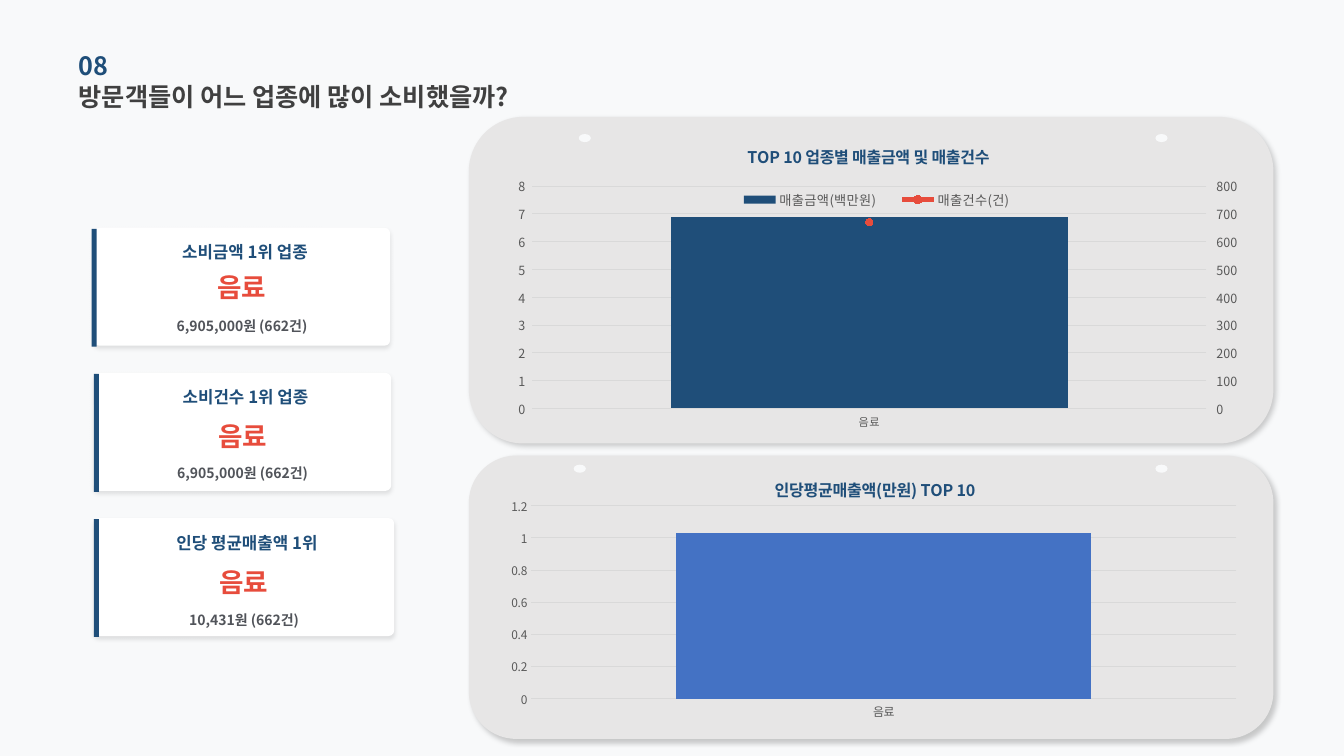
from copy import deepcopy
from dataclasses import dataclass

from lxml import etree
from pptx import Presentation
from pptx.chart.data import CategoryChartData
from pptx.dml.color import RGBColor
from pptx.enum.chart import XL_CHART_TYPE as CT, XL_LEGEND_POSITION as LP
from pptx.enum.chart import XL_MARKER_STYLE as MS, XL_TICK_MARK as TM
from pptx.enum.shapes import MSO_SHAPE as SHAPE
from pptx.enum.text import MSO_ANCHOR, PP_ALIGN
from pptx.oxml import parse_xml
from pptx.oxml.ns import nsdecls, qn
from pptx.util import Inches, Pt


@dataclass(frozen=True)
class Theme:
    font: str = "Noto Sans CJK KR"
    chart_font: str = "Calibri"
    page: str = "F8F9FA"
    panel: str = "E7E6E6"
    card: str = "FFFFFF"
    navy: str = "1F4E79"
    red: str = "E74C3C"
    blue: str = "4472C4"
    ink: str = "404040"
    detail: str = "51545A"
    axis: str = "595959"
    grid: str = "D9D9D9"
    heading_pt: float = 18
    label_pt: float = 12
    value_pt: float = 19
    detail_pt: float = 10
    chart_pt: float = 10
    chart_title_pt: float = 11.5
    legend_pt: float = 9.5


T = Theme()


def rgb(color):
    return RGBColor.from_string(color)


def style_font(font, size, color, bold=False):
    font.size, font.bold, font.name = Pt(size), bold, T.font
    font.color.rgb = rgb(color)


def add_text(shapes, box, text, size, color, align=PP_ALIGN.LEFT):
    tf = shapes.add_textbox(*map(Inches, box)).text_frame
    tf.margin_left = tf.margin_right = tf.margin_top = tf.margin_bottom = 0
    tf.word_wrap, tf.vertical_anchor = True, MSO_ANCHOR.MIDDLE
    p = tf.paragraphs[0]
    p.text, p.alignment = text, align
    style_font(p.font, size, color, True)
    ea = etree.SubElement(p.font._element, qn("a:ea"))
    ea.set("typeface", T.font)


def add_plain(shapes, kind, box, color, shadow=None):
    sp = shapes.add_shape(kind, *map(Inches, box))
    sp.shadow.inherit = False
    sp.fill.solid()
    sp.fill.fore_color.rgb = rgb(color)
    sp.line.fill.background()
    if shadow:
        alpha, blur, dist, angle = shadow
        effects = sp._element.spPr.find(qn("a:effectLst"))
        effects.append(parse_xml(
            f'<a:outerShdw {nsdecls("a")} blurRad="{Pt(blur)}" dist="{Pt(dist)}" '
            f'dir="{angle * 60000}" algn="t" rotWithShape="0"><a:srgbClr val="000000">'
            f'<a:alpha val="{alpha * 1000}"/></a:srgbClr></a:outerShdw>'))
    return sp


def add_heading(s, x, y, number, question):
    add_text(s.shapes, (x, y + 0.31, 4.52, 0.41), question, T.heading_pt, T.ink)
    add_text(s.shapes, (x, y, 4.52, 0.41), number, T.heading_pt, T.navy)


def add_card(s, box, bar_x, label, value, detail, value_dy, detail_dy):
    x, y, w, h = box
    shapes = s.shapes.add_group_shape().shapes
    sp = add_plain(shapes, SHAPE.ROUNDED_RECTANGLE, box, T.card, (10, 3, 2, 90))
    sp.adjustments[0] = 0.048
    lines = ((label, 0.03, 0.13, 0.22, T.label_pt, T.navy),
             (value, 0, value_dy, 0.34, T.value_pt, T.red),
             (detail, 0, detail_dy, 0.17, T.detail_pt, T.detail))
    for text, dx, dy, height, size, color in lines:
        add_text(shapes, (x + dx, y + dy, w, height), text, size, color, PP_ALIGN.CENTER)
    add_plain(s.shapes, SHAPE.RECTANGLE, (bar_x, y + 0.01, 0.05, h), T.navy)


def add_panel(s, box):
    add_plain(s.shapes, SHAPE.ROUNDED_RECTANGLE, box, T.panel, (20, 4, 3, 45))


def add_holes(s, y, xs):
    for x in xs:
        add_plain(s.shapes, SHAPE.OVAL, (x, y, 0.12, 0.08), T.page)


def set_layout(parent, index, **values):
    for old in parent.findall(qn("c:layout")):
        parent.remove(old)
    layout = etree.Element(qn("c:layout"))
    manual = etree.SubElement(layout, qn("c:manualLayout"))
    if parent.tag == qn("c:plotArea"):
        etree.SubElement(manual, qn("c:layoutTarget")).set("val", "inner")
    for mode in ("xMode", "yMode"):
        etree.SubElement(manual, qn(f"c:{mode}")).set("val", "edge")
    for name, value in values.items():
        etree.SubElement(manual, qn(f"c:{name}")).set("val", str(value))
    parent.insert(index, layout)


def add_column_chart(s, box, title, title_at, plot, series, top, unit, fmt, sizes):
    data = CategoryChartData()
    data.categories = ["음료"]
    for name, value in series:
        data.add_series(name, [value])
    chart = s.shapes.add_chart(CT.COLUMN_CLUSTERED, *map(Inches, box), data).chart
    chart.font.name, chart.font.size = T.chart_font, Pt(T.chart_pt)
    chart.has_legend = False
    p = chart.chart_title.text_frame.paragraphs[0]
    p.text = title
    style_font(p.font, T.chart_title_pt, T.navy, True)
    set_layout(chart.element.find(".//" + qn("c:title")), 1, x=title_at[0], y=title_at[1])
    set_layout(chart.element.find(".//" + qn("c:plotArea")), 0, **dict(zip("xywh", plot)))
    bars = chart.plots[0]
    bars.gap_width, bars.overlap, bars.vary_by_categories = 70, -27, False
    cat, val = chart.category_axis, chart.value_axis
    for axis, size in zip((cat, val), sizes):
        axis.major_tick_mark = axis.minor_tick_mark = TM.NONE
        style_font(axis.tick_labels.font, size, T.axis)
    val.minimum_scale, val.maximum_scale, val.major_unit = 0, top, unit
    val.tick_labels.number_format = fmt
    val.tick_labels.number_format_is_linked = False
    val.format.line.fill.background()
    for line in (cat.format.line, val.major_gridlines.format.line):
        line.color.rgb, line.width = rgb(T.grid), Pt(0.75)
    return chart


def fill_bars(chart, color):
    fill = chart.plots[0].series[0].format.fill
    fill.solid()
    fill.fore_color.rgb = rgb(color)


def move_to_right_axis(chart, top, unit):
    area = chart.element.find(".//" + qn("c:plotArea"))
    bars, cat, val = (area.find(qn(f"c:{tag}")) for tag in ("barChart", "catAx", "valAx"))
    ser = bars.findall(qn("c:ser"))[1]
    for flag in ser.findall(qn("c:invertIfNegative")):
        ser.remove(flag)
    lines = parse_xml(
        f'<c:lineChart {nsdecls("c")}><c:grouping val="standard"/><c:varyColors val="0"/>'
        '<c:marker val="1"/><c:axId val="5001"/><c:axId val="5002"/></c:lineChart>')
    lines.insert(2, ser)
    bars.addnext(lines)
    right, hidden = deepcopy(val), deepcopy(cat)
    val.addnext(right)
    right.addnext(hidden)
    right.remove(right.find(qn("c:majorGridlines")))
    changes = ((hidden, {"axId": 5001, "crossAx": 5002, "delete": 1}),
               (right, {"axId": 5002, "crossAx": 5001, "axPos": "r", "crosses": "max",
                        "majorTickMark": "out", "max": top, "majorUnit": unit}))
    for axis, values in changes:
        for tag, value in values.items():
            axis.find(".//" + qn(f"c:{tag}")).set("val", str(value))
    line = chart.plots[1].series[0]
    line.smooth = False
    line.format.line.color.rgb, line.format.line.width = rgb(T.red), Pt(3)
    line.marker.style, line.marker.size = MS.CIRCLE, 5
    line.marker.format.fill.solid()
    line.marker.format.fill.fore_color.rgb = rgb(T.red)
    line.marker.format.line.color.rgb = rgb(T.red)


def add_sales_chart(s, x, y):
    chart = add_column_chart(
        s, (x, y, 7.32, 3.15), "TOP 10 업종별 매출금액 및 매출건수", (0.33, 0.05),
        (0.041, 0.193, 0.918, 0.7), (("매출금액(백만원)", 6.9), ("매출건수(건)", 670)),
        8, 1, "#,##0_ ", (8, 9))
    fill_bars(chart, T.navy)
    move_to_right_axis(chart, 800, 100)
    chart.has_legend = True
    chart.legend.position, chart.legend.include_in_layout = LP.TOP, False
    style_font(chart.legend.font, T.legend_pt, T.axis)
    set_layout(chart.element.find(".//" + qn("c:legend")), 1, x=0.3, y=0.2, w=0.42, h=0.07)


def add_average_chart(s, x, y):
    chart = add_column_chart(
        s, (x, y, 7.43, 2.67), "인당평균매출액(만원) TOP 10", (0.36, 0.06),
        (0.039, 0.179, 0.941, 0.717), (("Series 1", 1.03),),
        1.2, 0.2, "General", (8.5, 8.5))
    fill_bars(chart, T.blue)


def main():
    prs = Presentation()
    prs.slide_width, prs.slide_height = Inches(13.33), Inches(7.5)
    s = prs.slides.add_slide(prs.slide_layouts[6])
    s.background.fill.solid()
    s.background.fill.fore_color.rgb = rgb(T.page)
    add_panel(s, (4.65, 4.52, 7.98, 2.81))
    add_panel(s, (4.65, 1.16, 7.98, 3.24))
    add_heading(s, 0.78, 0.44, "08", "방문객들이 어느 업종에 많이 소비했을까?")
    cards = ((2.94, 0.91, "소비금액 1위 업종", "음료", "6,905,000원 (662건)", 0.42, 0.89),
             (2.95, 0.93, "소비건수 1위 업종", "음료", "6,905,000원 (662건)", 0.45, 0.91),
             (2.98, 0.93, "인당 평균매출액 1위", "음료", "10,431원 (662건)", 0.46, 0.93))
    for i, (width, *content) in enumerate(cards):
        add_card(s, (0.93, 2.26 + 1.44 * i, width, 1.17), *content)
    add_sales_chart(s, 4.98, 1.24)
    add_average_chart(s, 4.98, 4.54)
    add_holes(s, 1.33, (5.74, 11.46))
    add_holes(s, 4.61, (5.69, 11.46))
    prs.save("out.pptx")


if __name__ == "__main__":
    main()
